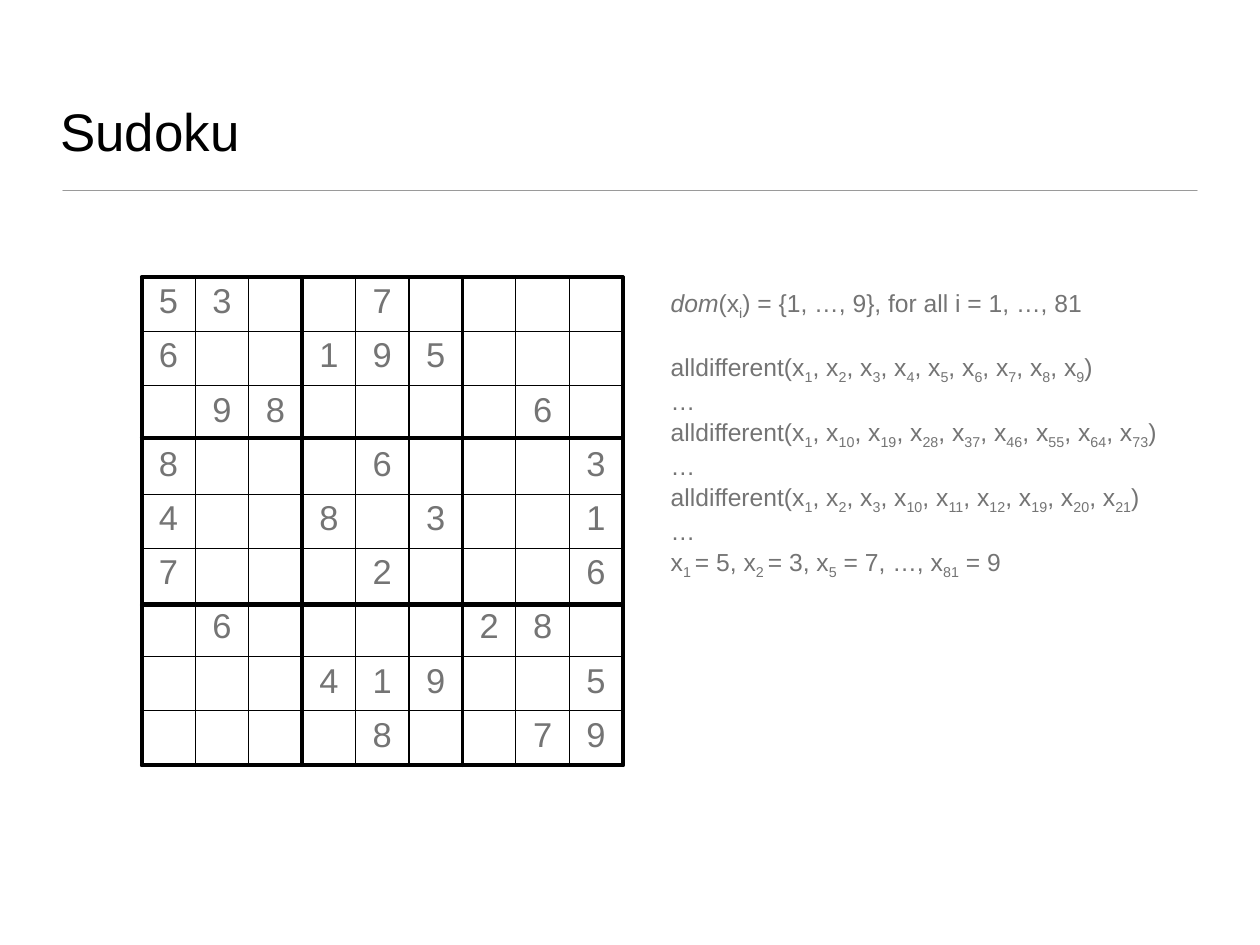
import lxml.etree
import pptx
import pptx.dml.color
import pptx.enum.shapes
import pptx.enum.text
import pptx.oxml.ns
import pptx.util

Inches = pptx.util.Inches
Pt = pptx.util.Pt
RGBColor = pptx.dml.color.RGBColor
qn = pptx.oxml.ns.qn

BLACK = RGBColor(0x00, 0x00, 0x00)
TEXT_GRAY = RGBColor(0x74, 0x74, 0x74)
RULE_GRAY = RGBColor(0x9A, 0x9A, 0x9A)
FONT = "Arial"

# One string per row; a dot is an empty cell
PUZZLE = [
    "53..7....",
    "6..195...",
    ".98....6.",
    "8...6...3",
    "4..8.3..1",
    "7...2...6",
    ".6....28.",
    "...419..5",
    "....8..79",
]
SIZE = len(PUZZLE)
GRID_LEFT, GRID_TOP, GRID_WIDTH, GRID_HEIGHT = 1.6, 3.13, 5.43, 5.51
GRID_RIGHT, GRID_BOTTOM = GRID_LEFT + GRID_WIDTH, GRID_TOP + GRID_HEIGHT
BLOCK_ROW_EDGES = [GRID_TOP, 4.94, 6.83, GRID_BOTTOM]


def format_font(font, size, color):
    font.name = FONT
    font.size = Pt(size)
    font.color.rgb = color


def all_different(*indices):
    """Constraint text, with each subscript between underscores."""
    return "alldifferent(" + ", ".join(f"x_{index}_" for index in indices) + ")"


def add_text_box(slide, left, top, width, height, anchor):
    text_frame = slide.shapes.add_textbox(
        Inches(left), Inches(top), Inches(width), Inches(height)).text_frame
    text_frame.word_wrap = True
    text_frame.vertical_anchor = anchor
    text_frame.margin_left = text_frame.margin_right = Inches(0.06)
    text_frame.margin_top = text_frame.margin_bottom = Inches(0.06)
    return text_frame


def add_line(slide, start, end, color, width):
    line = slide.shapes.add_connector(
        pptx.enum.shapes.MSO_CONNECTOR.STRAIGHT,
        *(Inches(length) for length in start + end))
    line.line.color.rgb = color
    line.line.width = Pt(width)
    line.line._get_or_add_ln().set("cap", "rnd")
    lxml.etree.SubElement(line._element.spPr, qn("a:effectLst"))


def add_constraint(paragraph, constraint):
    """Write a line whose subscripts stand between underscores."""
    for position, text in enumerate(constraint.split("_")):
        run = paragraph.add_run()
        run.text = text
        format_font(run.font, 20, TEXT_GRAY)
        if position % 2:
            run._r.get_or_add_rPr().set("baseline", "-25000")


def set_border(cell, side, width):
    border = lxml.etree.SubElement(
        cell._tc.get_or_add_tcPr(), qn(f"a:ln{side}"), w=str(Pt(width)))
    fill = lxml.etree.SubElement(border, qn("a:solidFill"))
    lxml.etree.SubElement(fill, qn("a:srgbClr"), val=str(BLACK))


def fill_cell(cell, row, column):
    last = SIZE - 1
    outer_sides = {"L": column == 0, "R": column == last,
                   "T": row == 0, "B": row == last}
    for side, is_outer in outer_sides.items():
        set_border(cell, side, 2.25 if is_outer else 1)
    cell.fill.background()
    cell.margin_top = cell.margin_bottom = Inches(0.06)
    digit = PUZZLE[row][column]
    if digit != ".":
        paragraph = cell.text_frame.paragraphs[0]
        paragraph.text = digit
        paragraph.alignment = pptx.enum.text.PP_ALIGN.CENTER
        format_font(paragraph.runs[0].font, 28, TEXT_GRAY)


def add_puzzle(slide):
    table = slide.shapes.add_table(
        SIZE, SIZE, Inches(GRID_LEFT), Inches(GRID_TOP),
        Inches(GRID_WIDTH), Inches(GRID_HEIGHT)).table
    table.first_row = False
    table.horz_banding = False
    for row in range(SIZE):
        for column in range(SIZE):
            fill_cell(table.cell(row, column), row, column)

    # Heavy lines around the three by three blocks
    for y in BLOCK_ROW_EDGES:
        add_line(slide, (GRID_LEFT, y), (GRID_RIGHT, y), BLACK, 3)
    for block in range(4):
        x = GRID_LEFT + block * GRID_WIDTH / 3
        add_line(slide, (x, GRID_TOP), (x, GRID_BOTTOM), BLACK, 3)


def add_title(slide):
    add_line(slide, (0.71, 2.15), (13.51, 2.15), RULE_GRAY, 0.75)
    text_frame = add_text_box(slide, 0.62, 0.36, 12.97, 1.53,
                              pptx.enum.text.MSO_ANCHOR.BOTTOM)
    text_frame.text = "Sudoku"
    format_font(text_frame.paragraphs[0].runs[0].font, 43, BLACK)


def add_model(slide):
    constraints = [
        "(x_i_) = {1, …, 9}, for all i = 1, …, 81",
        all_different(*range(1, 10)),
        "…",
        all_different(1, *range(10, 74, 9)),
        "…",
        all_different(1, 2, 3, 10, 11, 12, 19, 20, 21),
        "…",
        "x_1 _= 5, x_2 _= 3, x_5_ = 7, …, x_81_ = 9",
    ]
    text_frame = add_text_box(slide, 7.51, 3.19, 6.09, 5.37,
                              pptx.enum.text.MSO_ANCHOR.TOP)
    domain = text_frame.paragraphs[0]
    domain.text = "dom"
    format_font(domain.runs[0].font, 20, TEXT_GRAY)
    domain.runs[0].font.italic = True
    for position, constraint in enumerate(constraints):
        paragraph = text_frame.add_paragraph() if position else domain
        # The domain line is set apart from the constraints below it
        paragraph.space_before = Pt(24.6 if position == 1 else 0.8)
        add_constraint(paragraph, constraint)


def main():
    presentation = pptx.Presentation()
    presentation.slide_width = Inches(14.22)
    presentation.slide_height = Inches(10.67)
    slide = presentation.slides.add_slide(presentation.slide_layouts[6])
    add_title(slide)
    add_model(slide)
    add_puzzle(slide)
    presentation.save("out.pptx")


if __name__ == "__main__":
    main()
